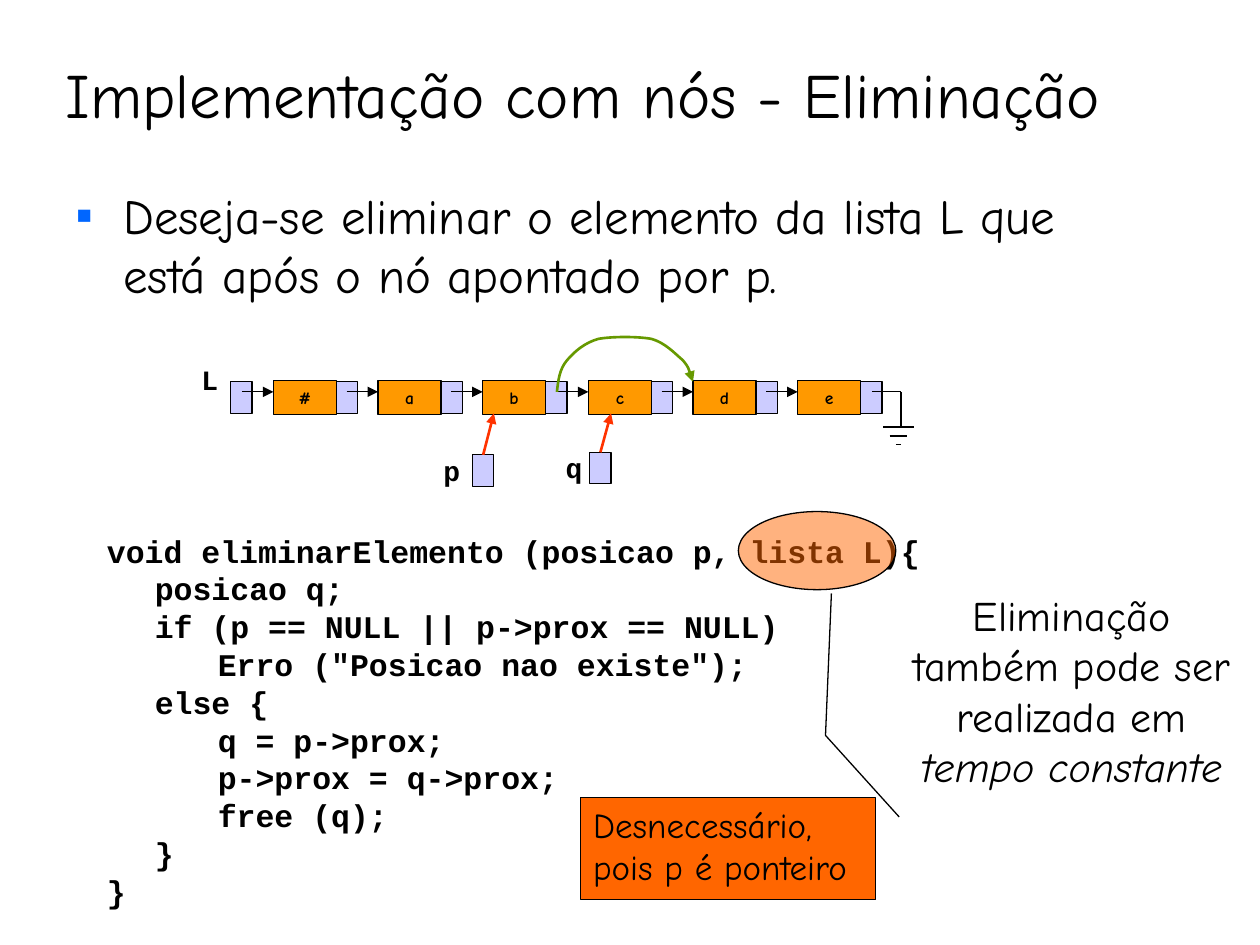
import dataclasses

import lxml.etree
import pptx
import pptx.dml.color
import pptx.enum.shapes
import pptx.enum.text
import pptx.oxml.ns
import pptx.util

Inches = pptx.util.Inches
Pt = pptx.util.Pt
qn = pptx.oxml.ns.qn
Form = pptx.enum.shapes.MSO_SHAPE
Align = pptx.enum.text.PP_ALIGN
Anchor = pptx.enum.text.MSO_ANCHOR
Fit = pptx.enum.text.MSO_AUTO_SIZE


@dataclasses.dataclass(frozen=True)
class Theme:
    hand: str = "Comic Neue"
    mono: str = "Courier New"
    ink: str = "000000"
    link: str = "CCCCFF"
    node: str = "FF9900"
    alert: str = "FF6600"
    point: str = "FF3300"
    jump: str = "669900"
    bullet: str = "0066FF"
    title: int = 36
    body: int = 28
    side: int = 24
    note: int = 20
    code: int = 18
    label: int = 16
    cell: int = 10
    thin: float = 0.75
    thick: float = 1.5


def color(value):
    return pptx.dml.color.RGBColor.from_string(value)


def add(parent, tag, **attrs):
    return lxml.etree.SubElement(parent, qn(tag), attrs)


class Deck:
    def __init__(self, theme):
        self.theme = theme
        self.show = pptx.Presentation()
        self.show.slide_width = Inches(10)
        self.show.slide_height = Inches(7.5)
        self.slide = self.show.slides.add_slide(self.show.slide_layouts[1])
        self.pen = self.slide.shapes

    def group(self):
        self.pen = self.slide.shapes.add_group_shape().shapes

    def ungroup(self):
        self.pen = self.slide.shapes

    def words(self, shape, lines, size, font=None, bold=False, align=Align.LEFT,
              anchor=Anchor.TOP, wrap=True, hang=0, tabs=(), bullet=None):
        frame = shape.text_frame
        frame.word_wrap = wrap
        frame.auto_size = Fit.NONE
        frame.vertical_anchor = anchor
        for i, line in enumerate(lines):
            para = frame.add_paragraph() if i else frame.paragraphs[0]
            props = para._p.get_or_add_pPr()
            if hang:
                props.set("marL", str(Inches(hang)))
                props.set("indent", str(-Inches(hang)))
            if bullet:
                add(add(props, "a:buClr"), "a:srgbClr", val=self.theme.bullet)
                add(props, "a:buChar", char=bullet)
            if tabs:
                stops = add(props, "a:tabLst")
                for stop in tabs:
                    add(stops, "a:tab", pos=str(Inches(stop)), algn="l")
            para.alignment = align
            para.space_before = Pt(0)
            for text, slant in line:
                run = para.add_run()
                run.text = text
                run.font.name = font or self.theme.hand
                run.font.size = Pt(size)
                run.font.bold = bold
                run.font.italic = slant
                run.font.color.rgb = color(self.theme.ink)

    def holder(self, index, box, text, size, **style):
        shape = self.slide.placeholders[index]
        shape.left, shape.top, shape.width, shape.height = map(Inches, box)
        self.words(shape, [[(text, False)]], size, **style)

    def text(self, box, lines, size, **style):
        shape = self.pen.add_textbox(*map(Inches, box))
        self.words(shape, lines, size, **style)

    def shape(self, form, box, fill):
        shape = self.pen.add_shape(form, *map(Inches, box))
        shape.shadow.inherit = False
        shape.fill.solid()
        shape.fill.fore_color.rgb = color(fill)
        self.stroke(shape, self.theme.ink, self.theme.thin)
        return shape

    def stroke(self, shape, ink, width, arrow=False):
        shape.line.color.rgb = color(ink)
        shape.line.width = Pt(width)
        if arrow:
            add(shape._element.spPr.find(qn("a:ln")), "a:tailEnd", type="triangle")

    def line(self, start, end, ink=None, width=None, arrow=False, source=None):
        kind = pptx.enum.shapes.MSO_CONNECTOR.STRAIGHT
        line = self.pen.add_connector(kind, *map(Inches, start + end))
        if source:
            line.begin_connect(source, 0)
        self.stroke(line, ink or self.theme.ink, width or self.theme.thin, arrow)
        add(line._element.spPr, "a:effectLst")

    def curve(self, start, knots):
        pen = self.pen.build_freeform(*map(Inches, start))
        pen.add_line_segments([tuple(map(Inches, knot)) for knot in knots], close=False)
        shape = pen.convert_to_shape()
        steps = list(shape._element.iter(qn("a:lnTo")))
        for i in range(0, len(steps), 3):
            bend = add(steps[i].getparent(), "a:cubicBezTo")
            for step in steps[i:i + 3]:
                bend.append(step[0])
                step.getparent().remove(step)
        shape.shadow.inherit = False
        shape.fill.background()
        self.stroke(shape, self.theme.jump, self.theme.thick, arrow=True)

    def link(self, x, y):
        return self.shape(Form.RECTANGLE, (x, y, 0.17, 0.25), self.theme.link)

    def node(self, x, text):
        cell = self.shape(Form.RECTANGLE, (x, 3.02, 0.5, 0.27), self.theme.node)
        self.words(cell, [[(text, False)]], self.theme.cell, bold=True,
                   align=Align.CENTER, anchor=Anchor.MIDDLE)
        self.link(x + 0.5, 3.03)

    def label(self, box, text, **style):
        self.text(box, [[(text, False)]], self.theme.label,
                  font=self.theme.mono, bold=True, **style)


CODE = """void eliminarElemento (posicao p, lista L){
\tposicao q;
\tif (p == NULL || p->prox == NULL)
\t\tErro ("Posicao nao existe");
\telse {
\t\tq = p->prox;
\t\tp->prox = q->prox;
\t\tfree (q);
\t}
}"""


def main():
    theme = Theme()
    deck = Deck(theme)
    deck.holder(0, (0.42, 0.26, 9.08, 0.83), "Implementação com nós - Eliminação",
                theme.title, anchor=Anchor.BOTTOM)
    deck.holder(1, (0.5, 1.42, 8.5, 1.13),
                "Deseja-se eliminar o elemento da lista L que está após o nó apontado por p.",
                theme.body, hang=0.38, bullet="▪")
    deck.text((0.75, 4.17, 7.45, 3.17), [[(row, False)] for row in CODE.split("\n")],
              theme.code, font=theme.mono, bold=True, hang=0.38, tabs=(0, 1))
    deck.text((7.09, 4.63, 2.83, 1.7),
              [[("Eliminação também pode ser realizada em ", False), ("tempo constante", True)]],
              theme.side, align=Align.CENTER)

    deck.group()
    deck.label((1.5, 2.83, 0.33, 0.37), "L", wrap=False)
    deck.link(1.83, 3.03)
    deck.line((1.92, 3.11), (2.17, 3.11), arrow=True)
    names = "#abcde"
    spots = [round((13 + 5 * i) / 6, 2) for i in range(len(names))]
    for x, name in zip(spots, names):
        deck.node(x, name)
    for x, goal in zip(spots, spots[1:]):
        deck.line((x + 0.58, 3.11), (goal, 3.11), arrow=True)
    deck.line((6.92, 3.11), (7.15, 3.11))
    deck.line((7.15, 3.11), (7.15, 3.39))
    for left, right, y in ((7.01, 7.25, 3.39), (7.06, 7.2, 3.46), (7.11, 7.15, 3.53)):
        deck.line((left, y), (right, y))
    for name, x, y, tip, left in (("p", 3.75, 3.61, 3.92, 3.25), ("q", 4.68, 3.59, 4.85, 4.22)):
        box = deck.link(x, y)
        deck.label((left, y - 0.06, 0.67, 0.37), name, align=Align.CENTER)
        deck.line((x + 0.08, y), (tip, 3.28), theme.point, theme.thick, True, box)
    deck.curve((4.42, 3.11), [
        (4.43, 3.02), (4.44, 2.93), (4.5, 2.86), (4.56, 2.79), (4.64, 2.72), (4.75, 2.69),
        (4.86, 2.67), (5.06, 2.67), (5.17, 2.69), (5.28, 2.72), (5.36, 2.81), (5.42, 2.86),
        (5.47, 2.92), (5.49, 3), (5.5, 3.03)])
    deck.ungroup()

    mark = deck.shape(Form.OVAL, (5.86, 4.06, 1.25, 0.62), theme.alert)
    add(next(mark._element.spPr.iter(qn("a:srgbClr"))), "a:alpha", val="50000")
    note = deck.shape(Form.LINE_CALLOUT_2, (4.61, 6.33, 2.34, 0.81), theme.alert)
    note._element.spPr.find(qn("a:xfrm")).set("flipH", "1")
    for i, value in enumerate((0.19, -0.08, -0.61, 0.17, -2, 0.15)):
        note.adjustments[i] = value
    deck.words(note, [[("Desnecessário,", False)], [("pois p é ponteiro", False)]],
               theme.note, wrap=False)
    deck.show.save("out.pptx")


if __name__ == "__main__":
    main()
